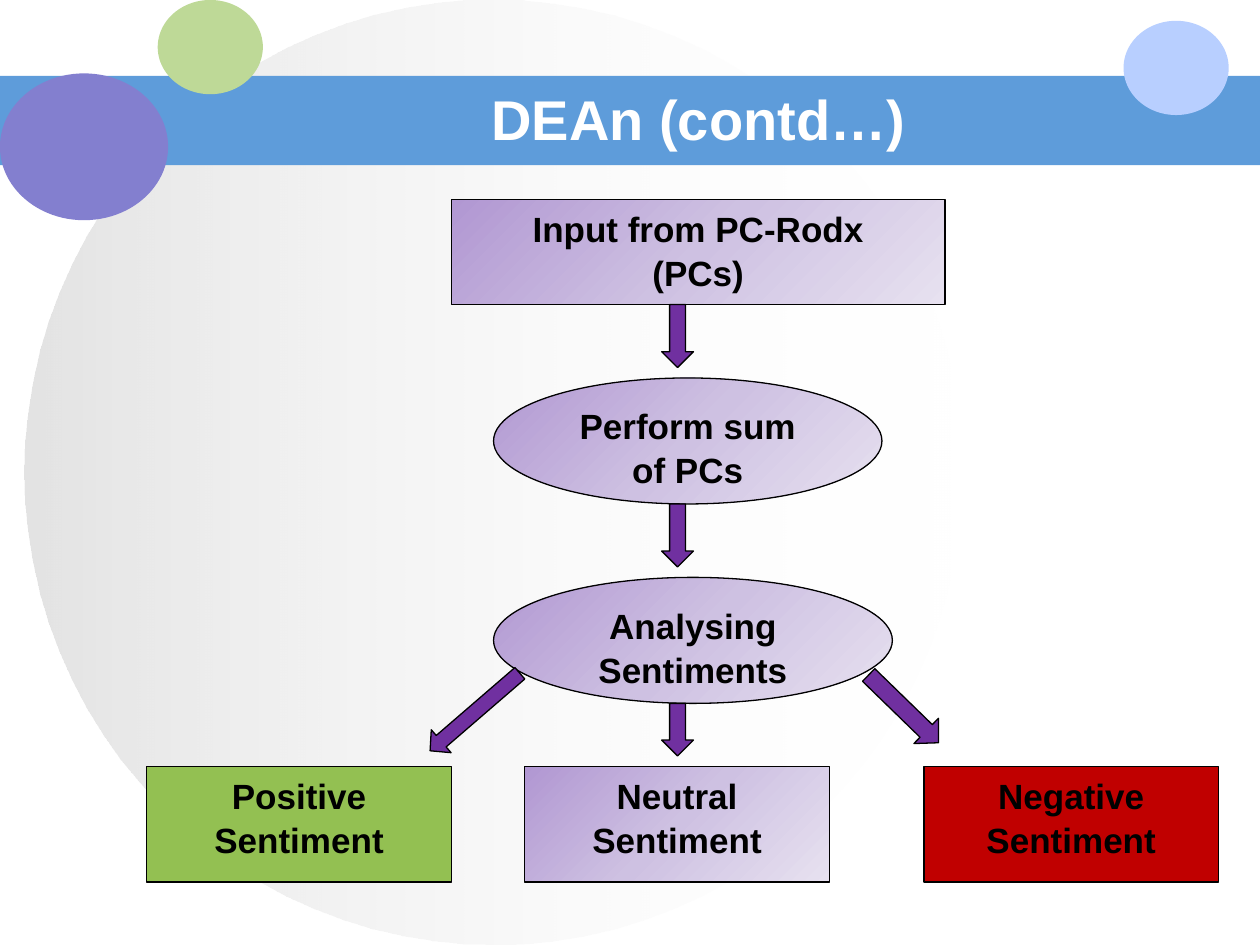
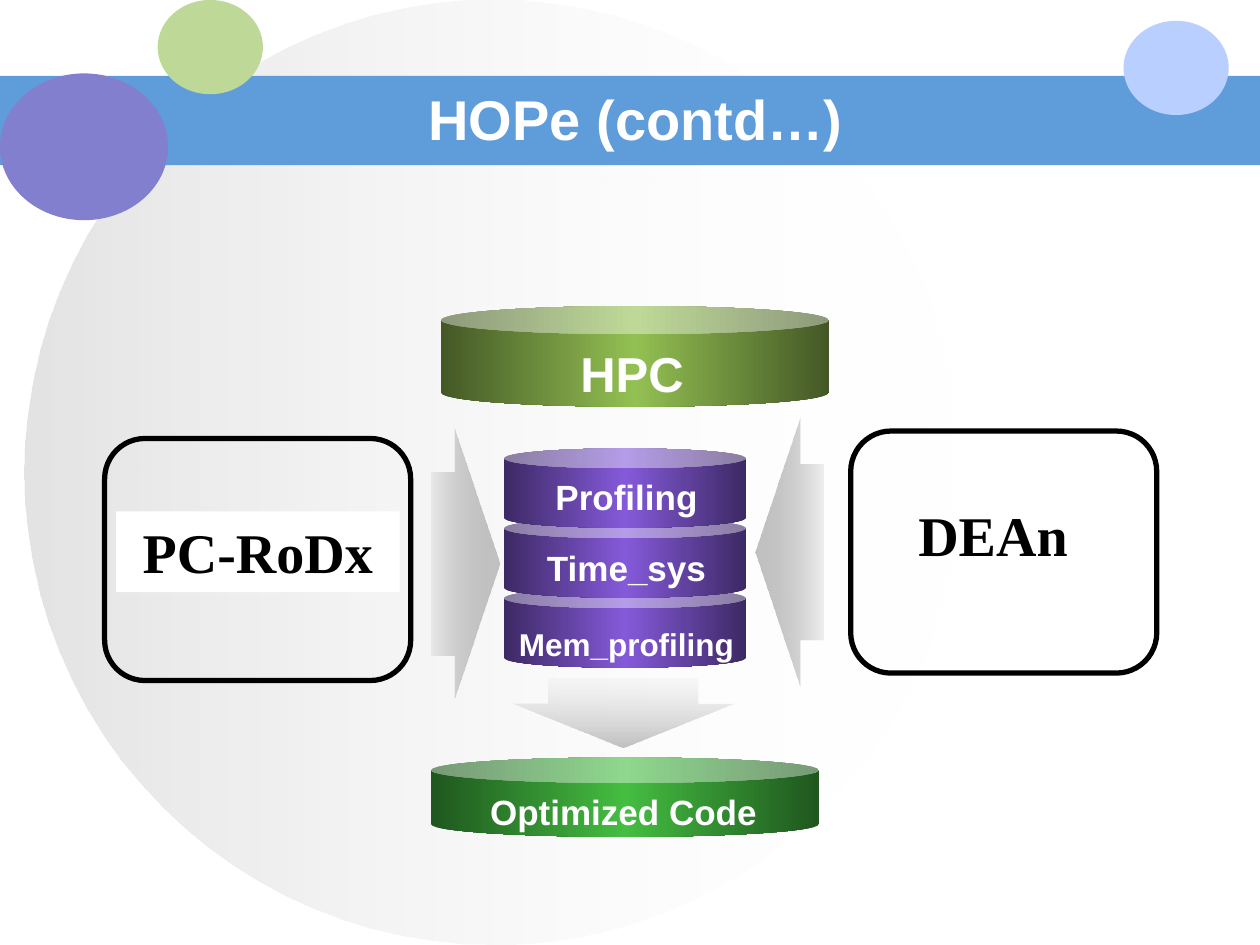
import lxml.etree
import pptx
import pptx.dml.color
import pptx.enum.shapes
import pptx.enum.text
import pptx.oxml.ns
import pptx.util

Cm, Pt = pptx.util.Cm, pptx.util.Pt
RGB = pptx.dml.color.RGBColor
KIND = pptx.enum.shapes.MSO_SHAPE
ALIGN = pptx.enum.text.PP_ALIGN
ANCHOR = pptx.enum.text.MSO_ANCHOR
qn = pptx.oxml.ns.qn

WHITE, BLACK = RGB(255, 255, 255), RGB(0, 0, 0)
BLUE, SKY = RGB(0x5E, 0x9C, 0xDA), RGB(0xB8, 0xCF, 0xFF)
LIME, MAUVE = RGB(0xBE, 0xD9, 0x97), RGB(0x83, 0x7F, 0xCF)
GREEN, RED = RGB(0x93, 0xC0, 0x52), RGB(0xC0, 0, 0)
PURPLE = RGB(0x70, 0x30, 0xA0)
SILVER, GREY = RGB(0xC0, 0xC0, 0xC0), RGB(0x89, 0x89, 0x89)
PALE = RGB(0xDA, 0xDA, 0xDA)

# A gradient is (angle, stops); a stop is (place, colour, opacity), in percent.
LILAC = (45, [(0, RGB(0xB1, 0x97, 0xD2), 100),
              (50, RGB(0xCE, 0xC1, 0xE2), 100),
              (100, RGB(0xE7, 0xE1, 0xF0), 100)])
HAZE = (0, [(0, SILVER, 44), (100, WHITE, 0)])
EAST = (0, [(0, GREY, 12), (100, SILVER, 100)])
WEST = (0, [(0, SILVER, 100), (100, GREY, 12)])
SOUTH = (90, [(0, PALE, 12), (100, SILVER, 100)])


def sheen(edge, core):
    return 0, [(0, edge, 100), (50, core, 100), (100, edge, 100)]


VIOLET = sheen(RGB(0x3D, 0x29, 0x64), RGB(0x85, 0x5A, 0xDA))
OLIVE = sheen(RGB(0x44, 0x58, 0x26), GREEN)
LEAF = sheen(RGB(0x1F, 0x57, 0x1E), RGB(0x44, 0xBD, 0x41))

# Boxes are (left, top, width, height) in centimetres.
DECOR = [
    (KIND.OVAL, (0.5, 0, 18.9, 19.05), HAZE),
    (KIND.RECTANGLE, (0, 1.53, 25.4, 1.8), BLUE),
    (KIND.OVAL, (3.18, 0, 2.12, 1.9), LIME),
    (KIND.OVAL, (0, 1.48, 3.39, 2.96), MAUVE),
    (KIND.OVAL, (22.65, 0.42, 2.12, 1.9), SKY),
]

# Stages of the flow, each with the length of the arrow below it
STAGES = [
    ("Input from PC-Rodx\v(PCs)", KIND.RECTANGLE, (9.1, 4.02, 9.95, 2.12), 1.27),
    ("Perform sum of PCs", KIND.OVAL, (9.95, 7.62, 7.83, 2.54), 1.27),
    ("Analysing Sentiments", KIND.OVAL, (9.95, 11.64, 8.04, 2.54), 1.06),
]
RESULTS = [
    ("Positive Sentiment", 2.96, 6.14, GREEN),
    ("Neutral Sentiment", 10.58, 6.14, LILAC),
    ("Negative Sentiment", 18.63, 5.93, RED),
]
BRANCHES = [((9.27, 13.16, 0.61, 2.39), 49.2), ((17.86, 13.31, 0.71, 1.96), 314.2)]

# Top of the label, its height and its size
LAYERS = [
    ("Profiling", 9.47, 1.12, 20),
    ("Time_sys", 10.9, 1.12, 20),
    ("Mem_profiling", 12.47, 1.02, 18),
]
DISCS = [
    ("HPC", (8.89, 6.17, 7.82, 2.03), 0.279, OLIVE, (11.43, 6.81, 2.62, 1.45), 28),
    ("Optimized Code", (8.69, 15.27, 7.82, 1.6), 0.32, LEAF, (9.6, 15.82, 5.94, 1.12), 20),
]
PANELS = [
    ("PC-RoDx", (2.11, 8.84), (2.34, 10.31, 5.72, 1.63), WHITE),
    ("DEAn", (17.15, 8.69), (17.58, 9.96, 4.88, 1.63), None),
]
WEDGES = [
    (KIND.LEFT_ARROW, (15.24, 8.41, 1.37, 5.44), (0.656, 0.652), WEST),
    (KIND.RIGHT_ARROW, (8.69, 8.64, 1.37, 5.44), (0.677, 0.662), EAST),
    (KIND.DOWN_ARROW, (10.31, 13.67, 4.5, 1.4), (0.671, 0.641), SOUTH),
]


def paint(shape, fill):
    """Fill with nothing, a colour or a gradient."""
    if fill is None:
        shape.fill.background()
    elif isinstance(fill, RGB):
        shape.fill.solid()
        shape.fill.fore_color.rgb = fill
    else:
        angle, stops = fill
        shape.fill.gradient()
        grad = shape._element.spPr.find(qn("a:gradFill"))
        for child in list(grad):
            grad.remove(child)
        group = lxml.etree.SubElement(grad, qn("a:gsLst"))
        for place, color, alpha in stops:
            stop = lxml.etree.SubElement(group, qn("a:gs"), pos=str(place * 1000))
            tint = lxml.etree.SubElement(stop, qn("a:srgbClr"), val=str(color))
            if alpha < 100:
                lxml.etree.SubElement(tint, qn("a:alpha"), val=str(alpha * 1000))
        lxml.etree.SubElement(grad, qn("a:lin"), ang=str(angle * 60000), scaled="0")


def draw(slide, kind, box, fill, line=None, adjust=()):
    shape = slide.shapes.add_shape(kind, *map(Cm, box))
    shape.shadow.inherit = False
    paint(shape, fill)
    if line:
        shape.line.color.rgb = BLACK
        shape.line.width = Pt(line)
    else:
        shape.line.fill.background()
    for i, value in enumerate(adjust):
        shape.adjustments[i] = value
    return shape


def write(shape, text, size, color, font="Arial", anchor=ANCHOR.TOP, wrap=True):
    frame = shape.text_frame
    frame.text = text
    frame.word_wrap = wrap
    frame.vertical_anchor = anchor
    para = frame.paragraphs[0]
    para.alignment = ALIGN.CENTER
    para.font.name = font
    para.font.size = Pt(size)
    para.font.bold = True
    para.font.color.rgb = color
    return para


def label(slide, text, box, size, color=WHITE, font="Arial", wrap=False):
    shape = slide.shapes.add_textbox(*map(Cm, box))
    write(shape, text, size, color, font, wrap=wrap)
    return shape


def node(slide, text, kind, box, fill):
    shape = draw(slide, kind, box, fill, 0.75)
    write(shape, text, 20, BLACK).line_spacing = 1.05


def start(deck, title, left):
    slide = deck.slides.add_slide(deck.slide_layouts[5])
    head = slide.shapes.title
    head.left, head.top, head.width, head.height = map(Cm, (left, 1.7, 16.72, 1.35))
    write(head, title, 32, WHITE, anchor=ANCHOR.MIDDLE)
    return slide


def dress(slide):
    """Draw the shared decor and move it to the back of the slide's layout."""
    tree = slide.slide_layout.shapes._spTree
    for i, (kind, box, fill) in enumerate(DECOR):
        tree.insert(2 + i, draw(slide, kind, box, fill)._element)


def flow(slide):
    for text, kind, box, length in STAGES:
        node(slide, text, kind, box, LILAC)
        end = box[1] + box[3]
        draw(slide, KIND.DOWN_ARROW, (13.34, end, 0.64, length), PURPLE, 0.75)
    for text, left, width, fill in RESULTS:
        node(slide, text, KIND.RECTANGLE, (left, 15.45, width, 2.33), fill)
    for box, turn in BRANCHES:
        arrow = draw(slide, KIND.DOWN_ARROW, box, PURPLE, 0.75, (0.5, 0.482))
        arrow.rotation = turn


def stack(slide):
    for i in reversed(range(len(LAYERS))):
        draw(slide, KIND.CAN, (10.16, 9.04 + 1.41 * i, 4.88, 1.6), VIOLET, adjust=(0.25,))
    for text, top, height, size in LAYERS:
        label(slide, text, (10.19, top, 4.88, height), size)
    for kind, box, adjust, fill in WEDGES:
        draw(slide, kind, box, fill, adjust=adjust)
    for text, box, rim, fill, place, size in DISCS:
        draw(slide, KIND.CAN, box, fill, adjust=(rim,))
        label(slide, text, place, size)
    for text, corner, place, fill in PANELS:
        draw(slide, KIND.ROUNDED_RECTANGLE, (*corner, 6.17, 4.88), None, 3)
        paint(label(slide, text, place, 32, BLACK, "Times New Roman", True), fill)


def main():
    deck = pptx.Presentation()
    deck.slide_width, deck.slide_height = Cm(25.4), Cm(19.05)
    first = start(deck, "DEAn (contd…)", 5.72)
    dress(first)
    flow(first)
    stack(start(deck, "HOPe (contd…)", 4.45))
    deck.save("out.pptx")


if __name__ == "__main__":
    main()
